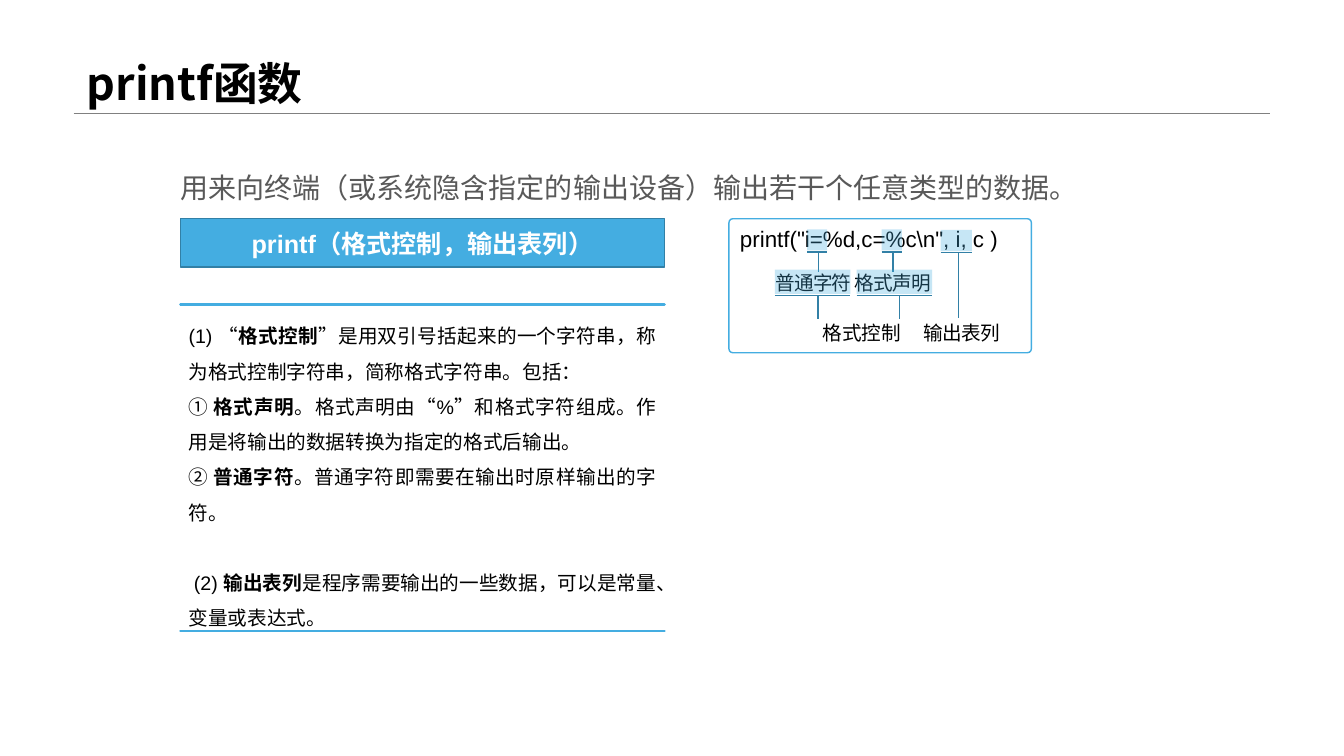
from lxml.etree import SubElement
from pptx import Presentation
from pptx.dml.color import RGBColor
from pptx.enum.shapes import MSO_CONNECTOR, MSO_SHAPE
from pptx.enum.text import MSO_ANCHOR, PP_ALIGN
from pptx.oxml.ns import qn
from pptx.util import Inches, Pt

C = {"blue": "44ADE1", "edge": "3280A6", "white": "FFFFFF",
     "black": "000000", "body": "595959", "rule": "808080"}
CJK = "Noto Sans CJK SC"


def rgb(name):
    return RGBColor.from_string(C[name])


def add_run(p, text, size, color="black", bold=False, font="Arial", spacing=0):
    r = p.add_run()
    r.text = text
    r.font.size, r.font.bold, r.font.name = Pt(size), bold, font
    r.font.color.rgb = rgb(color)
    rPr = r.font._element
    rPr.set("lang", "zh-CN")
    if spacing:
        rPr.set("spc", str(int(spacing * 100)))
    SubElement(rPr, qn("a:ea")).set("typeface", CJK)


def style(sp, fill, line, width=1):
    sp.shadow.inherit = False
    if fill:
        sp.fill.solid()
        sp.fill.fore_color.rgb = rgb(fill)
    else:
        sp.fill.background()
    sp.line.color.rgb = rgb(line)
    sp.line.width = Pt(width)


def add_box(s, kind, x, y, w, h):
    return s.shapes.add_shape(kind, Inches(x), Inches(y), Inches(w), Inches(h))


def add_text(s, x, y, w, h):
    tf = s.shapes.add_textbox(Inches(x), Inches(y), Inches(w), Inches(h)).text_frame
    tf.word_wrap = True
    return tf.paragraphs[0]


def add_title(s, x, y, w, h):
    rule = s.shapes.add_connector(MSO_CONNECTOR.STRAIGHT, Inches(x - 0.03), Inches(y + 0.59),
                                  Inches(x + 11.84), Inches(y + 0.59))
    rule.line.color.rgb = rgb("rule")
    rule.line.width = Pt(0.25)
    SubElement(rule._element.spPr, qn("a:effectLst"))
    title = s.shapes.title
    title.left, title.top, title.width, title.height = map(Inches, (x, y, w, h))
    tf = title.text_frame
    tf.vertical_anchor = MSO_ANCHOR.BOTTOM
    p = tf.paragraphs[0]
    p.alignment, p.line_spacing = PP_ALIGN.LEFT, 0.9
    add_run(p, "printf函数", 32, bold=True, font=CJK)


def add_intro(s, x, y, w, h):
    p = add_text(s, x, y, w, h)
    p.line_spacing, p.space_before = 0.9, Pt(10)
    add_run(p, "用来向终端（或系统隐含指定的输出设备）输出若干个任意类型的数据。", 20, "body", font=CJK)


def add_syntax(s, x, y, w, h):
    sp = add_box(s, MSO_SHAPE.RECTANGLE, x, y, w, h)
    style(sp, "blue", "edge")
    sp.text_frame.vertical_anchor = MSO_ANCHOR.MIDDLE
    p = sp.text_frame.paragraphs[0]
    p.alignment = PP_ALIGN.CENTER
    add_run(p, "printf（格式控制，输出表列）", 18, "white", True)


def add_callout(s, x, y, w, h, reach):
    sp = add_box(s, MSO_SHAPE.LINE_CALLOUT_2_ACCENT_BAR, x, y, w, h)
    style(sp, "blue", "edge")
    sp.rotation = 270
    for i, value in enumerate((0.19, -0.08, 0.57, -0.08, 0.57, reach)):
        sp.adjustments[i] = value
    color = sp._element.spPr.find(qn("a:solidFill"))[0]
    SubElement(color, qn("a:alpha")).set("val", "30000")


def add_example(s, x, y, w, h):
    card = add_box(s, MSO_SHAPE.ROUNDED_RECTANGLE, x, y, w, h)
    card.adjustments[0] = 0.03
    style(card, "white", "blue")
    card.text_frame.vertical_anchor = MSO_ANCHOR.TOP
    p = card.text_frame.paragraphs[0]
    p.alignment = PP_ALIGN.LEFT
    add_run(p, 'printf("i=%d,c=%c\\n", i, c )', 16)
    p = add_text(s, x + 0.36, y + 0.47, 2.64, 0.34)
    add_run(p, "普通字符 格式声明", 14, spacing=-0.5)
    for dx, dy, cw, ch, reach in ((0.77, 0.11, 0.21, 0.2, -1.03),
                                  (1.51, 0.11, 0.21, 0.2, -1.03),
                                  (2.15, 0.06, 0.21, 0.31, -3.15),
                                  (0.71, 0.25, 0.24, 0.75, -1.03),
                                  (1.52, 0.25, 0.24, 0.75, -1.03)):
        add_callout(s, x + dx, y + dy, cw, ch, reach)
    p = add_text(s, x + 0.83, y + 0.96, 2.18, 0.34)
    add_run(p, "格式控制 \t", 14)
    add_run(p, "输出表列", 14, spacing=-0.5)


def add_notes_panel(s, x, y, w, h):
    fb = s.shapes.build_freeform(Inches(x), Inches(y + h))
    fb.add_line_segments([(Inches(x + w), Inches(y + h)), (Inches(x), Inches(y + h))])
    fb.move_to(Inches(x), Inches(y))
    fb.add_line_segments([(Inches(x + w), Inches(y)), (Inches(x), Inches(y))])
    sp = fb.convert_to_shape()
    style(sp, None, "blue", 2)
    tf = sp.text_frame
    tf.word_wrap = True
    tf.vertical_anchor = MSO_ANCHOR.TOP
    tf.margin_left = tf.margin_right = tf.margin_top = tf.margin_bottom = Inches(0.08)
    items = (
        ("(1) “", "格式控制", "”是用双引号括起来的一个字符串，称为格式控制字符串，简称格式字符串。包括： ", 0),
        ("① ", "格式声明", "。格式声明由“%”和格式字符组成。作用是将输出的数据转换为指定的格式后输出。", 0),
        ("② ", "普通字符", "。普通字符即需要在输出时原样输出的字符。", 0),
        (" (2) ", "输出表列", "是程序需要输出的一些数据，可以是常量、变量或表达式。", 25),
    )
    for i, (lead, term, rest, gap) in enumerate(items):
        p = tf.add_paragraph() if i else tf.paragraphs[0]
        p.alignment, p.line_spacing, p.space_before = PP_ALIGN.JUSTIFY, 1.5, Pt(gap)
        add_run(p, lead, 14)
        add_run(p, term, 14, bold=True)
        add_run(p, rest, 14)


prs = Presentation()
prs.slide_width, prs.slide_height = Inches(13.33), Inches(7.5)
s = prs.slides.add_slide(prs.slide_layouts[5])
add_title(s, 0.76, 0.53, 6.48, 0.61)
add_intro(s, 1.69, 1.68, 9.37, 0.64)
add_syntax(s, 1.79, 2.17, 4.8, 0.48)
add_example(s, 7.23, 2.17, 3, 1.33)
add_notes_panel(s, 1.79, 3.02, 4.8, 3.24)
prs.save("out.pptx")
